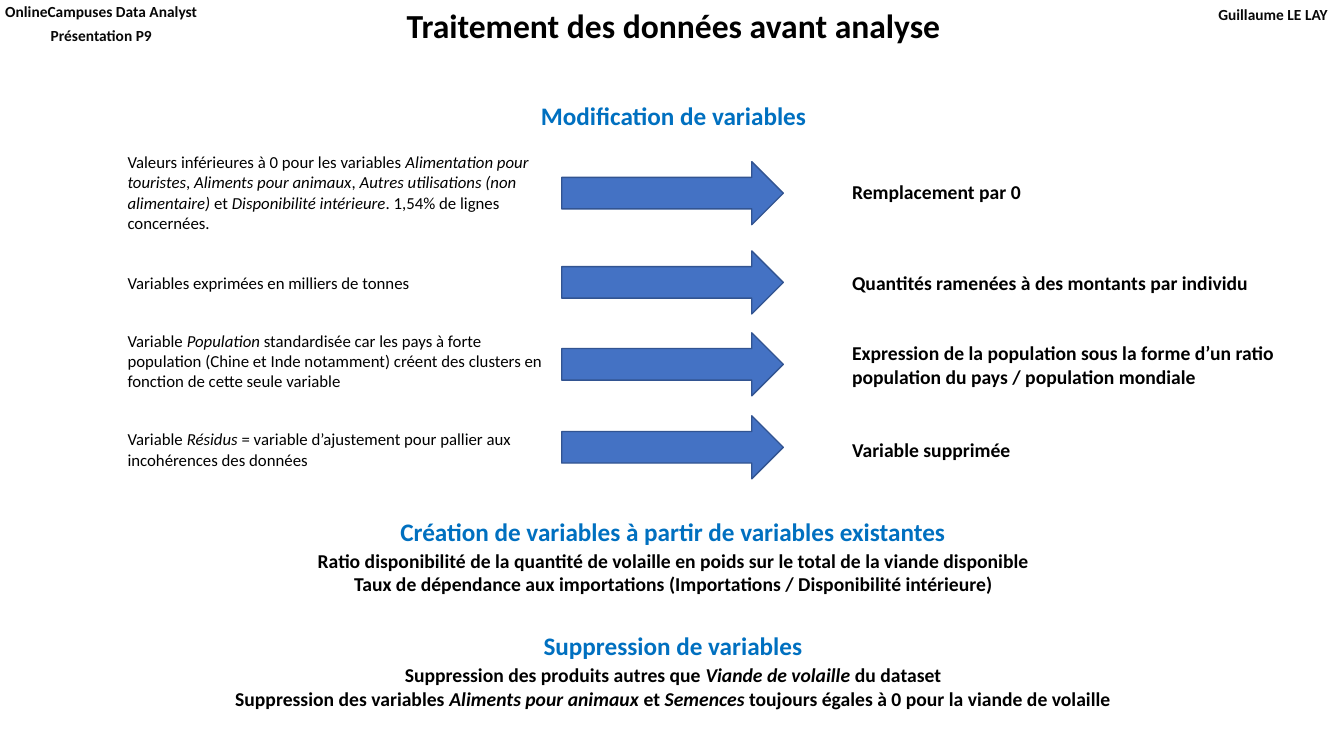
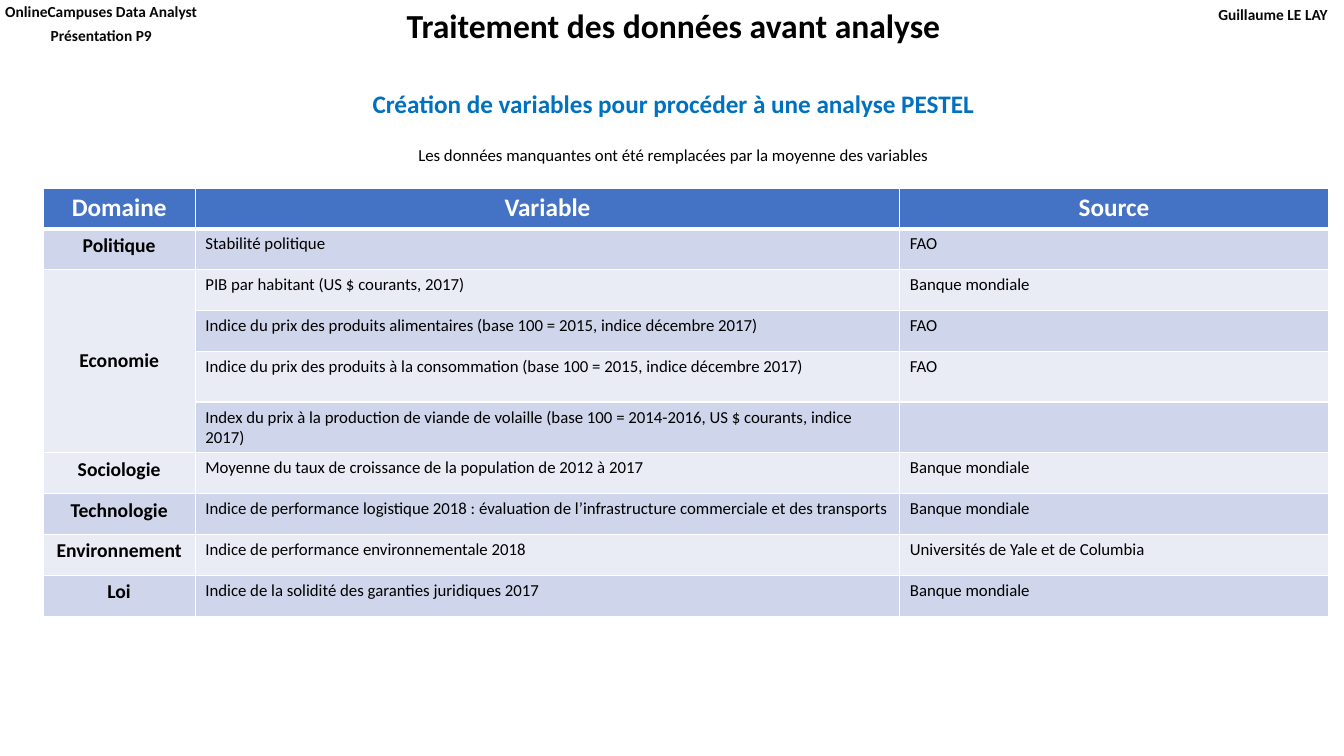
from dataclasses import dataclass

from lxml.etree import SubElement
from pptx import Presentation
from pptx.dml.color import RGBColor
from pptx.enum.shapes import MSO_SHAPE
from pptx.enum.text import MSO_ANCHOR, PP_ALIGN
from pptx.oxml.ns import qn
from pptx.util import Emu, Pt


@dataclass(frozen=True)
class Theme:
    font: str = "Calibri"
    ink: str = "000000"
    label_ink: str = "080808"
    heading: str = "0070C0"
    accent: str = "4472C4"
    accent_line: str = "325491"
    white: str = "FFFFFF"
    bands: tuple = ("CFD5EA", "E9EBF5")
    title_size: int = 24
    heading_size: int = 18
    strong_size: int = 14
    body_size: int = 12
    label_size: int = 11


THEME = Theme()
EMU_PER_PX = 9525
SLIDE_SIZE = (1280, 720)
CENTER_X = 641

TITLE = "Traitement des données avant analyse"
COURSE = ["OnlineCampuses Data Analyst", "Présentation P9"]
AUTHOR = "Guillaume LE LAY"

# Asterisks enclose italics.
# Each change: problem, its line count and centre; arrow centre; result, its line count and centre.
CHANGES = [
    ("Valeurs inférieures à 0 pour les variables *Alimentation pour touristes*, "
     "*Aliments pour animaux*, *Autres utilisations (non alimentaire) *et "
     "*Disponibilité intérieure*. 1,54% de lignes concernées.", 4, 183,
     184, "Remplacement par 0", 1, 183),
    ("Variables exprimées en milliers de tonnes", 1, 269,
     269, "Quantités ramenées à des montants par individu", 1, 269),
    ("Variable *Population* standardisée car les pays à forte population (Chine et Inde "
     "notamment) créent des clusters en fonction de cette seule variable", 3, 344,
     347, "Expression de la population sous la forme d’un ratio "
     "population du pays / population mondiale", 2, 347),
    ("Variable *Résidus *= variable d’ajustement pour pallier aux incohérences des données",
     2, 428, 426, "Variable supprimée", 1, 428),
]
PROBLEM_COLUMN = (112, 421)
ARROW_COLUMN = (535, 211)
RESULT_COLUMN = (802, 426)
ARROW_HEIGHT = 60

# Each section: heading, top, width; lines below, top, width.
SECTIONS = [
    ("Modification de variables", 91, 315, [], 0, 0),
    ("Création de variables à partir de variables existantes", 487, 554,
     ["Ratio disponibilité de la quantité de volaille en poids sur le total de la viande disponible",
      "Taux de dépendance aux importations (Importations / Disponibilité intérieure)"], 518, 801),
    ("Suppression de variables", 596, 554,
     ["Suppression des produits autres que *Viande de volaille *du dataset",
      "Suppression des variables *Aliments pour animaux* et *Semences* toujours égales à 0 "
      "pour la viande de volaille"], 627, 854),
]

PESTEL_HEADING = "Création de variables pour procéder à une analyse PESTEL"
PESTEL_NOTE = "Les données manquantes ont été remplacées par la moyenne des variables"
TABLE_HEADER = ["Domaine", "Variable", "Source"]
DOMAINS = [
    ("Politique", [("Stabilité politique", "FAO")]),
    ("Economie", [
        ("PIB par habitant (US $ courants, 2017)", "Banque mondiale"),
        ("Indice du prix des produits alimentaires (base 100 = 2015, indice décembre 2017)", "FAO"),
        ("Indice du prix des produits à la consommation (base 100 = 2015, indice décembre 2017)", "FAO"),
        ("Index du prix à la production de viande de volaille (base 100 = 2014-2016, "
         "US $ courants, indice 2017)", ""),
    ]),
    ("Sociologie", [("Moyenne du taux de croissance de la population de 2012 à 2017",
                     "Banque mondiale")]),
    ("Technologie", [("Indice de performance logistique 2018 : évaluation de l’infrastructure "
                      "commerciale et des transports", "Banque mondiale")]),
    ("Environnement", [("Indice de performance environnementale 2018",
                        "Universités de Yale et de Columbia")]),
    ("Loi", [("Indice de la solidité des garanties juridiques 2017", "Banque mondiale")]),
]
TABLE_ORIGIN = (41, 179)
COLUMN_WIDTHS = (145, 671, 408)
ROW_HEIGHT = 39
TALL_ROW_HEIGHT = 48
TALL_ROWS = (4, 5)


def px(*lengths):
    return [Emu(length * EMU_PER_PX) for length in lengths]


def color(code):
    return RGBColor.from_string(code)


def text_height(lines, size):
    """Height in px of a box holding this many lines, insets included."""
    return round(10 + lines * size * 1.6)


def write_text(frame, lines, size=THEME.body_size, ink=THEME.ink, bold=False,
               align=PP_ALIGN.LEFT, spacing=None, after=None):
    lines = [lines] if isinstance(lines, str) else lines
    for index, line in enumerate(lines):
        para = frame.add_paragraph() if index else frame.paragraphs[0]
        para.alignment = align
        if spacing:
            para.line_spacing = spacing
        if after:
            para.space_after = Pt(after)
        for part, piece in enumerate(line.split("*")):
            if not piece:
                continue
            span = para.add_run()
            span.text = piece
            span.font.name = THEME.font
            span.font.size = Pt(size)
            span.font.bold = bold
            span.font.italic = part % 2 == 1
            span.font.color.rgb = color(ink)


def add_text(page, lines, left, top, width, height, anchor=MSO_ANCHOR.TOP, **text_format):
    box = page.shapes.add_textbox(*px(left, top, width, height))
    box.text_frame.word_wrap = True
    box.text_frame.vertical_anchor = anchor
    write_text(box.text_frame, lines, **text_format)


def add_centered(page, lines, top, width, size, **text_format):
    """Text box centred on the slide's axis."""
    count = 1 if isinstance(lines, str) else len(lines)
    add_text(page, lines, CENTER_X - width // 2, top, width, text_height(count, size),
             size=size, align=PP_ALIGN.CENTER, **text_format)


def add_heading(page, text, top, width):
    add_centered(page, text, top, width, THEME.heading_size, ink=THEME.heading, bold=True)


def add_page(deck):
    page = deck.slides.add_slide(deck.slide_layouts[6])
    label = dict(size=THEME.label_size, ink=THEME.label_ink, bold=True,
                 align=PP_ALIGN.CENTER, anchor=MSO_ANCHOR.MIDDLE, after=6)
    add_text(page, COURSE, -18, 0, 229, 48, spacing=0.8, **label)
    add_text(page, AUTHOR, 1130, 0, 165, 30, spacing=0.9, **label)
    add_centered(page, TITLE, 0, 549, THEME.title_size, bold=True)
    return page


def add_arrow(page, center):
    left, width = ARROW_COLUMN
    arrow = page.shapes.add_shape(
        MSO_SHAPE.RIGHT_ARROW, *px(left, center - ARROW_HEIGHT // 2, width, ARROW_HEIGHT))
    arrow.shadow.inherit = False
    arrow.fill.solid()
    arrow.fill.fore_color.rgb = color(THEME.accent)
    arrow.line.color.rgb = color(THEME.accent_line)
    arrow.line.width = Pt(1)


def add_row_text(page, text, column, lines, center, size, **text_format):
    left, width = column
    height = text_height(lines, size)
    add_text(page, text, left, center - height // 2, width, height, size=size, **text_format)


def build_changes(deck):
    page = add_page(deck)
    for problem, lines, center, arrow, result, result_lines, result_center in CHANGES:
        add_row_text(page, problem, PROBLEM_COLUMN, lines, center, THEME.body_size)
        add_arrow(page, arrow)
        add_row_text(page, result, RESULT_COLUMN, result_lines, result_center,
                     THEME.strong_size, bold=True)
    for heading, top, width, lines, lines_top, lines_width in SECTIONS:
        add_heading(page, heading, top, width)
        if lines:
            add_centered(page, lines, lines_top, lines_width, THEME.strong_size, bold=True)


def style_cell(cell, fill, bottom=1):
    """Flat fill with white borders; bottom is that border's width in points."""
    properties = cell._tc.get_or_add_tcPr()
    for side, points in (("L", 1), ("R", 1), ("T", 1), ("B", bottom)):
        border = SubElement(properties, qn(f"a:ln{side}"), w=str(Pt(points)))
        solid = SubElement(border, qn("a:solidFill"))
        SubElement(solid, qn("a:srgbClr"), val=THEME.white)
    cell.fill.solid()
    cell.fill.fore_color.rgb = color(fill)


def add_domain_table(page):
    row_count = 1 + sum(len(variables) for _, variables in DOMAINS)
    heights = [TALL_ROW_HEIGHT if row in TALL_ROWS else ROW_HEIGHT for row in range(row_count)]
    table = page.shapes.add_table(
        row_count, len(COLUMN_WIDTHS),
        *px(*TABLE_ORIGIN, sum(COLUMN_WIDTHS), sum(heights))).table
    for column, width in zip(table.columns, px(*COLUMN_WIDTHS)):
        column.width = width
    for index, (row, height) in enumerate(zip(table.rows, px(*heights))):
        row.height = height
        for cell in row.cells:
            if index:
                style_cell(cell, THEME.bands[(index - 1) % 2])
            else:
                style_cell(cell, THEME.accent, bottom=3)

    for column, name in enumerate(TABLE_HEADER):
        write_text(table.cell(0, column).text_frame, name, size=THEME.heading_size,
                   ink=THEME.white, bold=True, align=PP_ALIGN.CENTER)
    first = 1
    for domain, variables in DOMAINS:
        cell = table.cell(first, 0)
        if len(variables) > 1:
            cell.merge(table.cell(first + len(variables) - 1, 0))
            cell.vertical_anchor = MSO_ANCHOR.MIDDLE
        write_text(cell.text_frame, domain, size=THEME.strong_size, bold=True,
                   align=PP_ALIGN.CENTER)
        for row, values in enumerate(variables, first):
            for column, value in enumerate(values, 1):
                write_text(table.cell(row, column).text_frame, value)
        first += len(variables)


def build_pestel(deck):
    page = add_page(deck)
    add_heading(page, PESTEL_HEADING, 79, 615)
    add_centered(page, PESTEL_NOTE, 133, 559, THEME.body_size)
    add_domain_table(page)


def main():
    deck = Presentation()
    deck.slide_width, deck.slide_height = px(*SLIDE_SIZE)
    build_changes(deck)
    build_pestel(deck)
    deck.save("out.pptx")


if __name__ == "__main__":
    main()
